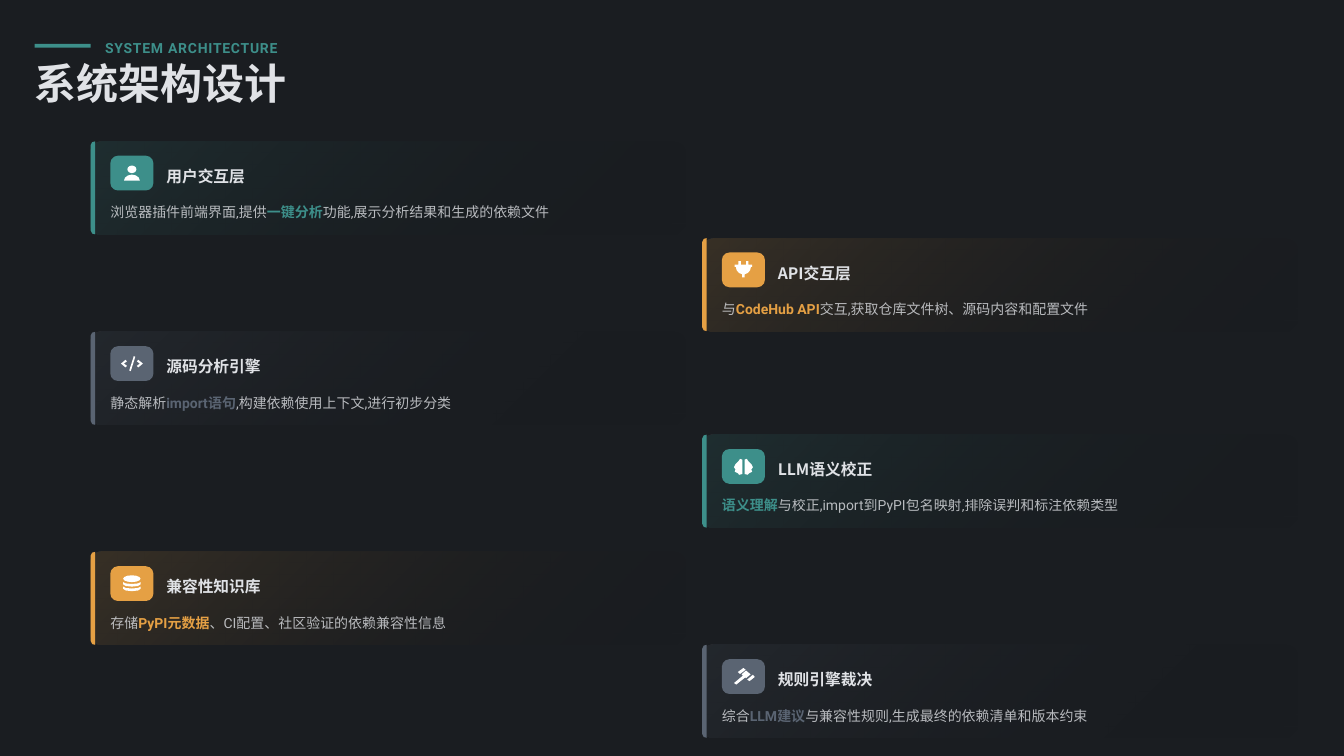
from math import cos, radians, sin

from lxml.etree import SubElement
from pptx import Presentation
from pptx.dml.color import RGBColor
from pptx.enum.shapes import MSO_SHAPE
from pptx.enum.text import MSO_ANCHOR
from pptx.oxml.ns import qn
from pptx.util import Inches, Pt

HUES = {"back": "1A1D21", "ink": "E0E2E6", "white": "FFFFFF", "dark": "000000",
        "teal": "3D8F8A", "amber": "E5A044", "slate": "5A6472"}
CJK, LATIN = "Noto Sans CJK SC", "Roboto"
LEFT, RIGHT = 1.2, 9.29
CARD_W, CARD_H = 7.87, 1.23


def arc(x, y, rx, ry, start, end, steps=4):
    turns = [radians(start + (end - start) * i / steps) for i in range(steps + 1)]
    return [(x + rx * cos(t), y + ry * sin(t)) for t in turns]


def flip(points):
    """Mirror an icon outline about the centre of its tile."""
    return [(57 - x, y) for x, y in points]


def band(top, low):
    """One slice of the database drum, bowed downward."""
    return arc(28.5, top, 11.5, 2.5, 180, 0) + arc(28.5, low, 11.5, 3, 0, 180)


# Icon outlines, in hundredths of an inch from the tile's corner
CHEVRON = [(35, 20), (37, 18), (43, 23), (37, 28), (35, 26), (39, 23)]
LOBE = [(22, 16), (24, 13), (27, 14), (27, 33), (23, 34), (21, 32), (17, 30),
        (18, 27), (16, 24), (18, 20)]
PRONGS = [(17, 16), (22, 16), (22, 11.5), (25, 11.5), (25, 16), (32, 16),
          (32, 11.5), (35, 11.5), (35, 16), (40, 16), (40, 19)]
ICONS = {
    "user": [arc(28.5, 18, 6, 5, 0, 360, 12), arc(28.5, 33, 10.5, 8, 180, 360, 6)],
    "plug": [PRONGS + arc(28.5, 19, 10, 10, 0, 80, 3) + [(30, 33), (27, 33)]
             + arc(28.5, 19, 10, 10, 100, 180, 3) + [(17, 19)]],
    "code": [CHEVRON, flip(CHEVRON), [(31, 13), (33, 14), (27, 33), (25, 32)]],
    "brain": [LOBE, flip(LOBE)],
    "data": [arc(28.5, 16.5, 11.5, 4.5, 0, 360, 12), band(21, 24), band(27, 30)],
    "gavel": [[(21, 17), (28.5, 11.5), (31.5, 14), (24, 19.5)],
              [(26, 20), (32, 15), (38, 20), (32, 25), (31, 24), (19, 33.5),
               (16, 31.5), (28, 21.5)],
              [(33.5, 27), (41, 20.5), (43.5, 23.5), (36.5, 29)]],
}

# Left, top, hue, icon, heading width, heading, text parts (* marks the bold one)
CARDS = [
    (LEFT, 1.87, "teal", "user", 1.4, "用户交互层",
     ["浏览器插件前端界面,提供", "*一键分析", "功能,展示分析结果和生成的依赖文件"]),
    (RIGHT, 3.15, "amber", "plug", 1.32, "API交互层",
     ["与", "*CodeHub API", "交互,获取仓库文件树、源码内容和配置文件"]),
    (LEFT, 4.39, "slate", "code", 1.66, "源码分析引擎",
     ["静态解析", "*import语句", ",构建依赖使用上下文,进行初步分类"]),
    (RIGHT, 5.75, "teal", "brain", 1.64, "LLM语义校正",
     ["*语义理解", "与校正,import到PyPI包名映射,排除误判和标注依赖类型"]),
    (LEFT, 7.3, "amber", "data", 1.66, "兼容性知识库",
     ["存储", "*PyPI元数据", "、CI配置、社区验证的依赖兼容性信息"]),
    (RIGHT, 8.53, "slate", "gavel", 1.66, "规则引擎裁决",
     ["综合", "*LLM建议", "与兼容性规则,生成最终的依赖清单和版本约束"]),
]


def paint(color, hue):
    color.rgb = RGBColor.from_string(HUES[hue])


def fade(node, alpha):
    """Set the opacity, in percent, of the colour inside an XML node."""
    mark = node.find(".//" + qn("a:srgbClr"))
    SubElement(mark, qn("a:alpha")).set("val", str(alpha * 1000))


def finish(shape, hue):
    shape.shadow.inherit = False
    shape.line.fill.background()
    shape.fill.solid()
    paint(shape.fill.fore_color, hue)
    return shape


def block(shapes, left, top, width, height, hue, radius=0):
    kind = MSO_SHAPE.ROUNDED_RECTANGLE if radius else MSO_SHAPE.RECTANGLE
    shape = shapes.add_shape(kind, Inches(left), Inches(top),
                             Inches(width), Inches(height))
    if radius:
        shape.adjustments[0] = radius / min(width, height)
    return finish(shape, hue)


def draw(shapes, left, top, loops, hue):
    """Draw closed outlines, in hundredths of an inch, as one shape."""
    loops = [[(Inches(x / 100), Inches(y / 100)) for x, y in loop] for loop in loops]
    pen = shapes.build_freeform(*loops[0][0], scale=1.0)
    pen.add_line_segments(loops[0][1:], close=True)
    for loop in loops[1:]:
        pen.move_to(*loop[0])
        pen.add_line_segments(loop[1:], close=True)
    return finish(pen.convert_to_shape(Inches(left), Inches(top)), hue)


def write(shapes, left, top, width, height, parts, size, font, space, hue,
          bold=False, accent=None, alpha=None):
    box = shapes.add_textbox(Inches(left), Inches(top), Inches(width), Inches(height))
    frame = box.text_frame
    frame.word_wrap = True
    frame.vertical_anchor = MSO_ANCHOR.MIDDLE
    frame.margin_left = frame.margin_right = 0
    frame.margin_top = frame.margin_bottom = 0
    line = frame.paragraphs[0]
    line.line_spacing = space
    for part in parts:
        strong = part.startswith("*")
        run = line.add_run()
        run.text = part.lstrip("*")
        run.font.size = Pt(size)
        run.font.bold = bold or strong
        run.font.name = font
        paint(run.font.color, accent if strong else hue)
        props = run._r.get_or_add_rPr()
        SubElement(props, qn("a:ea")).set("typeface", CJK)
        if alpha and not strong:
            fade(props, alpha)
    return line


def header(shapes, left, top):
    block(shapes, left, top + 0.12, 0.74, 0.05, "teal")
    label = write(shapes, left + 0.93, top, 2.4, 0.28, ["SYSTEM ARCHITECTURE"],
                  13.3, LATIN, 1.3, "teal", bold=True)
    label.runs[0]._r.get_or_add_rPr().set("spc", "70")
    write(shapes, left, top + 0.42, 17.13, 0.56, ["系统架构设计"],
          40, CJK, 0.8, "ink", bold=True)


def card(shapes, left, top, hue, icon, width, title, parts):
    # Tinted backing that fades out to the lower right
    back = block(shapes, left, top, CARD_W, CARD_H, hue, 0.14)
    back.fill.gradient()
    back.fill.gradient_angle = 315
    for stop, tint in zip(back.fill.gradient_stops, (hue, "dark")):
        paint(stop.color, tint)
    marks = back._element.spPr.iter(qn("a:gs"))
    for mark, alpha in zip(marks, (15, 0)):
        fade(mark, alpha)
    # Edge strip with its left corners trimmed
    draw(shapes, left, top, [[(6, 0), (6, 123), (2, 122), (0, 118), (0, 5), (2, 1)]],
         hue)
    # Icon on its tile
    block(shapes, left + 0.26, top + 0.19, 0.57, 0.46, hue, 0.1)
    draw(shapes, left + 0.26, top + 0.19, ICONS[icon], "white")
    # Heading and description
    write(shapes, left + 1, top + 0.26, width, 0.32, [title],
          15, CJK, 1.3, "ink", bold=True)
    write(shapes, left + 0.26, top + 0.74, 7.51, 0.3, parts,
          13.3, LATIN, 1.4, "ink", accent=hue, alpha=80)


def main():
    deck = Presentation()
    deck.slide_width, deck.slide_height = Inches(17.78), Inches(10)
    slide = deck.slides.add_slide(deck.slide_layouts[6])
    slide.background.fill.solid()
    paint(slide.background.fill.fore_color, "back")
    header(slide.shapes, 0.46, 0.46)
    for item in CARDS:
        card(slide.shapes.add_group_shape().shapes, *item)
    deck.save("out.pptx")


if __name__ == "__main__":
    main()
